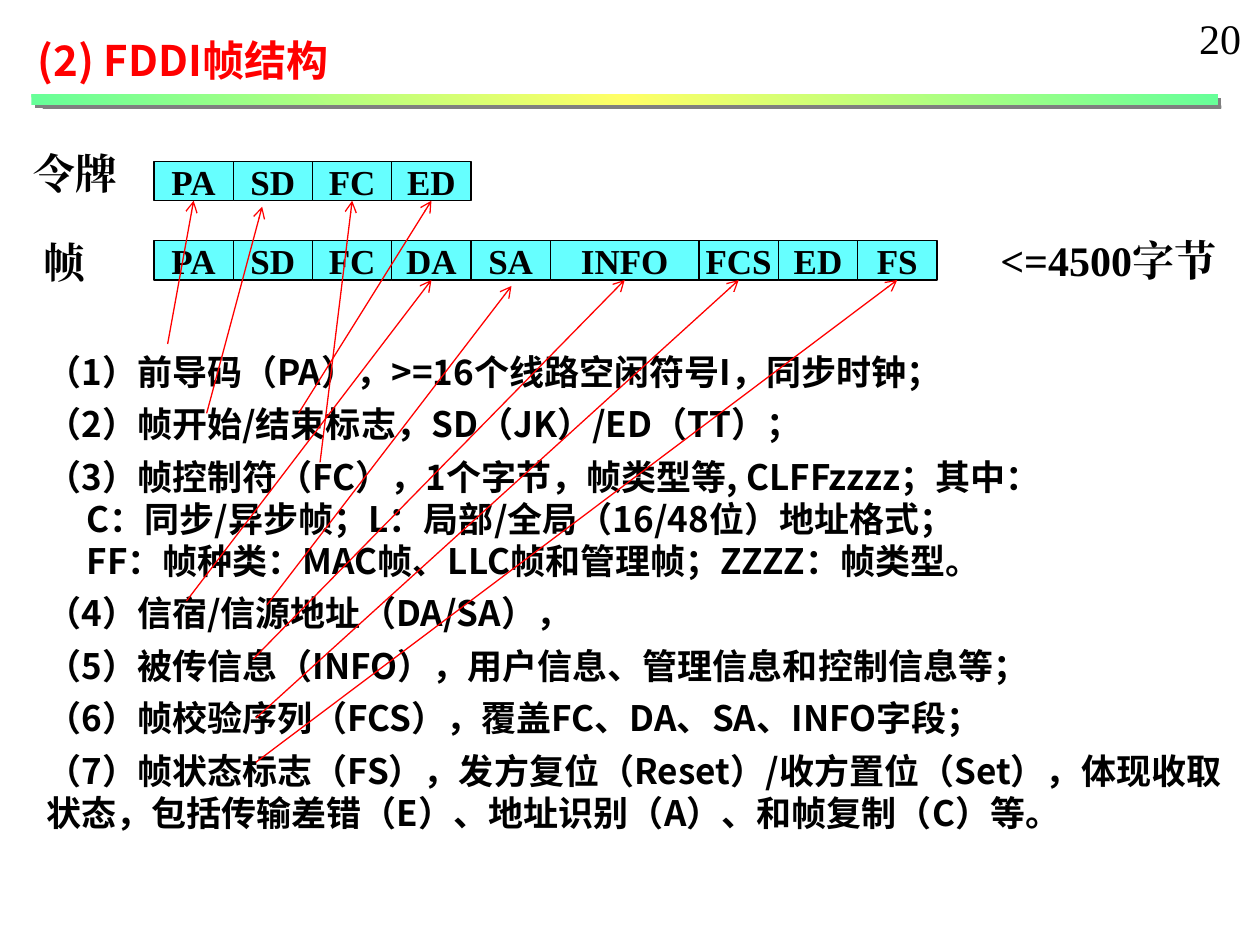
from copy import deepcopy

from lxml import etree
from pptx import Presentation
from pptx.dml.color import RGBColor
from pptx.enum import shapes, text
from pptx.oxml import ns
from pptx.util import Pt

COLORS = {"black": "000000", "red": "FF0000", "cyan": "66FFFF",
          "green": "66FF99", "yellow": "FFFF66", "gray": "808080"}
SERIF = "Times New Roman"
SANS = "Noto Sans CJK SC"

CELL_WIDTH, CELL_HEIGHT, ROW_LEFT = 45.3, 22.5, 88
INFO_WIDTH = 85
TOKEN_TOP, FRAME_TOP = 92.2, 137.5
TOKEN_FIELDS = ["PA", "SD", "FC", "ED"]
FRAME_FIELDS = ["PA", "SD", "FC", "DA", "SA", "INFO", "FCS", "ED", "FS"]

NOTES = [
    ("（1）前导码（PA），>=16个线路空闲符号I，同步时钟；", 0, 0),
    ("（2）帧开始/结束标志，SD（JK）/ED（TT）；", 6, 0),
    ("（3）帧控制符（FC），1个字节，帧类型等, CLFFzzzz；其中：", 6, 0),
    ("C：同步/异步帧；L：局部/全局（16/48位）地址格式；", 0, 23),
    ("FF：帧种类：MAC帧、LLC帧和管理帧；ZZZZ：帧类型。", 0, 23),
    ("（4）信宿/信源地址（DA/SA），", 6, 0),
    ("（5）被传信息（INFO），用户信息、管理信息和控制信息等；", 6, 0),
    ("（6）帧校验序列（FCS），覆盖FC、DA、SA、INFO字段；", 6, 0),
    ("（7）帧状态标志（FS），发方复位（Reset）/收方置位（Set），体现收取状态，"
     "包括传输差错（E）、地址识别（A）、和帧复制（C）等。", 6, 0),
]


def rgb(name):
    return RGBColor.from_string(COLORS[name])


def write(para, words, size=24, font=SERIF, color="black", bold=True,
          align=text.PP_ALIGN.LEFT, spacing=None, before=0, indent=0):
    para.alignment = align
    para.space_before = Pt(before)
    if spacing:
        para.line_spacing = Pt(spacing)
    if indent:
        para._p.get_or_add_pPr().set("marL", str(Pt(indent)))
    span = para.add_run()
    span.text = words
    span.font.size = Pt(size)
    span.font.name = font
    span.font.bold = bold
    span.font.color.rgb = rgb(color)
    east_asian = etree.SubElement(span._r.get_or_add_rPr(), ns.qn("a:ea"))
    east_asian.set("typeface", font)


def add_title(page, words):
    title = page.shapes.title
    title.left, title.top, title.width, title.height = (
        Pt(14.4), Pt(13.7), Pt(232.5), Pt(36))
    frame = title.text_frame
    frame.word_wrap = True
    frame.auto_size = text.MSO_AUTO_SIZE.SHAPE_TO_FIT_TEXT
    frame.vertical_anchor = text.MSO_ANCHOR.TOP
    write(frame.paragraphs[0], words, font=SANS, color="red", spacing=31)


def add_box(page, left, top, width, height=36, wrap=False):
    box = page.shapes.add_textbox(Pt(left), Pt(top), Pt(width), Pt(height))
    frame = box.text_frame
    frame.word_wrap = wrap
    frame.auto_size = text.MSO_AUTO_SIZE.SHAPE_TO_FIT_TEXT
    return frame


def add_label(page, words, left, top, width, wrap=False, bold=True):
    frame = add_box(page, left, top, width, wrap=wrap)
    write(frame.paragraphs[0], words, bold=bold)


def add_notes(page):
    frame = add_box(page, 19.4, 196.6, 686.2, 291, wrap=True)
    for number, (words, before, indent) in enumerate(NOTES):
        para = frame.add_paragraph() if number else frame.paragraphs[0]
        write(para, words, size=20, font=SANS, spacing=24,
              before=before, indent=indent)


def add_rectangle(page, left, top, width, height):
    box = page.shapes.add_shape(shapes.MSO_SHAPE.RECTANGLE,
                                Pt(left), Pt(top), Pt(width), Pt(height))
    box.shadow.inherit = False
    return box


def add_rule(page):
    bar = add_rectangle(page, 18, 54, 678, 6)
    bar.line.fill.background()
    bar.fill.gradient()
    bar.fill.gradient_angle = 45
    stops = bar._element.spPr.find(".//" + ns.qn("a:gsLst"))
    stops.append(deepcopy(stops[0]))
    for stop, position, color in zip(bar.fill.gradient_stops, (0, 0.5, 1),
                                     ("green", "yellow", "green")):
        stop.position = position
        stop.color.rgb = rgb(color)
    effects = bar._element.spPr.find(ns.qn("a:effectLst"))
    shadow = etree.SubElement(effects, ns.qn("a:outerShdw"),
                              dist=str(Pt(2.8)), dir="2700000",
                              algn="ctr", rotWithShape="0")
    etree.SubElement(shadow, ns.qn("a:srgbClr"), val=COLORS["gray"])


def add_fields(page, names, top):
    cells = {}
    left = ROW_LEFT
    for name in names:
        width = INFO_WIDTH if name == "INFO" else CELL_WIDTH
        cell = add_rectangle(page, left, top, width, CELL_HEIGHT)
        cell.fill.solid()
        cell.fill.fore_color.rgb = rgb("cyan")
        cell.line.color.rgb = rgb("black")
        cell.line.width = Pt(0.75)
        frame = cell.text_frame
        frame.word_wrap = False
        frame.vertical_anchor = text.MSO_ANCHOR.MIDDLE
        write(frame.paragraphs[0], name, size=20, align=text.PP_ALIGN.CENTER)
        cells[name] = cell
        left += width
    return cells


def add_arrow(page, start, end=(0, 0), target=None):
    arrow = page.shapes.add_connector(shapes.MSO_CONNECTOR.STRAIGHT,
                                      *map(Pt, start + end))
    if target is not None:
        arrow.end_connect(target, 2)
    arrow.line.color.rgb = rgb("red")
    arrow.line.width = Pt(0.75)
    etree.SubElement(arrow.line._get_or_add_ln(), ns.qn("a:tailEnd"),
                     type="arrow")
    etree.SubElement(arrow._element.spPr, ns.qn("a:effectLst"))


def main():
    deck = Presentation()
    deck.slide_width, deck.slide_height = Pt(720), Pt(540)
    page = deck.slides.add_slide(deck.slide_layouts[5])

    add_title(page, "(2) FDDI帧结构")
    add_rule(page)
    add_label(page, "令牌", 12.2, 80.6, 62.6)
    frame_cells = add_fields(page, FRAME_FIELDS, FRAME_TOP)
    add_label(page, "帧", 18, 131.8, 38.2)
    add_notes(page)
    add_label(page, "<=4500字节", 564.5, 130.3, 138.2, wrap=True)
    token_cells = add_fields(page, TOKEN_FIELDS, TOKEN_TOP)
    add_label(page, "20", 678.2, 3.6, 38.9, bold=False)

    add_arrow(page, (95.8, 196.6), target=token_cells["PA"])
    add_arrow(page, (118.1, 236.2), end=(149.8, 118.1))
    add_arrow(page, (170.6, 236.2), target=token_cells["ED"])
    add_arrow(page, (182.9, 264.2), target=token_cells["FC"])
    add_arrow(page, (106.6, 343.4), target=frame_cells["DA"])
    add_arrow(page, (152.6, 345.6), end=(292.3, 163.4))
    add_arrow(page, (144.7, 376.6), target=frame_cells["INFO"])
    add_arrow(page, (146.2, 410.4), target=frame_cells["FCS"])
    add_arrow(page, (146.2, 435.6), target=frame_cells["FS"])

    deck.save("out.pptx")


if __name__ == "__main__":
    main()
